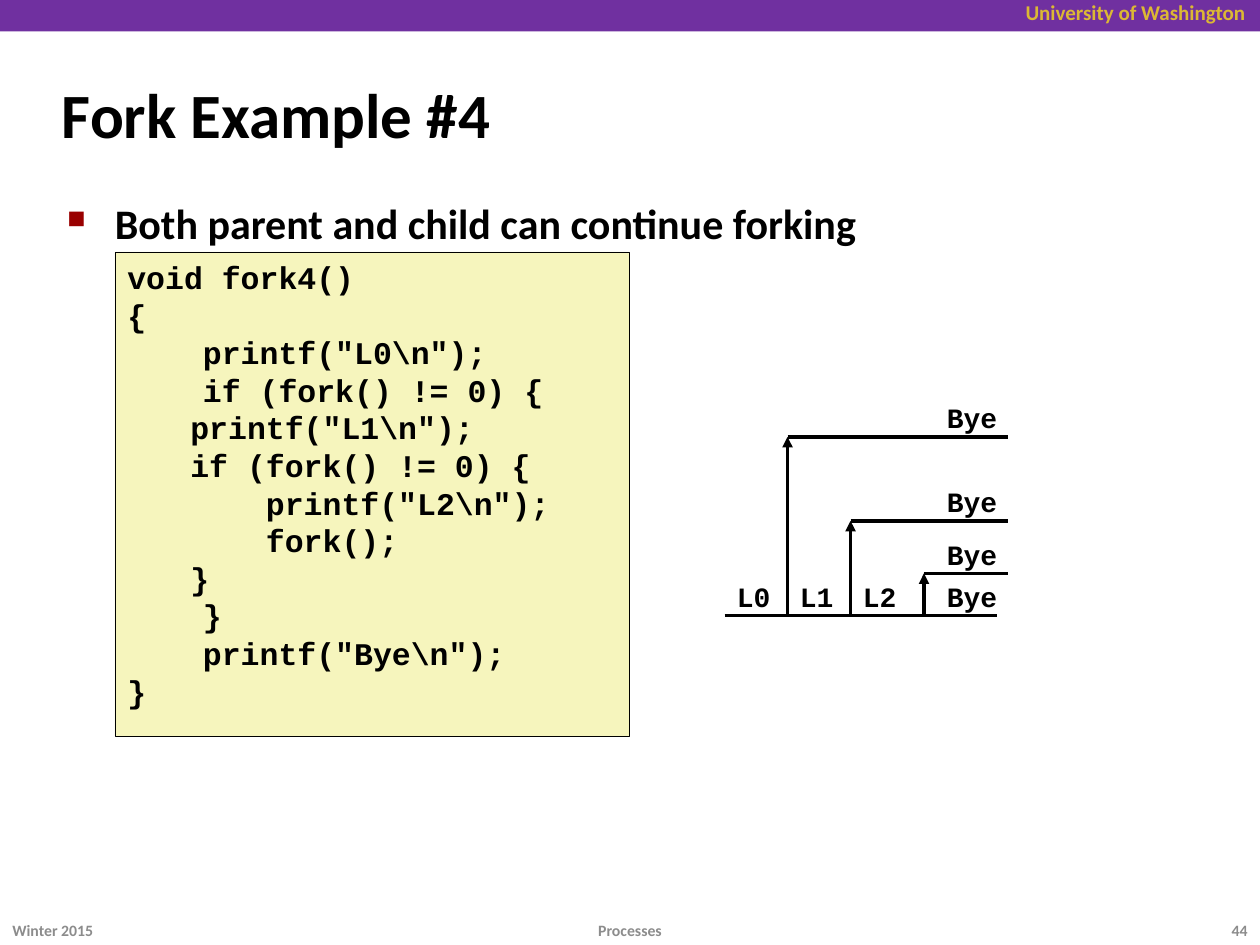
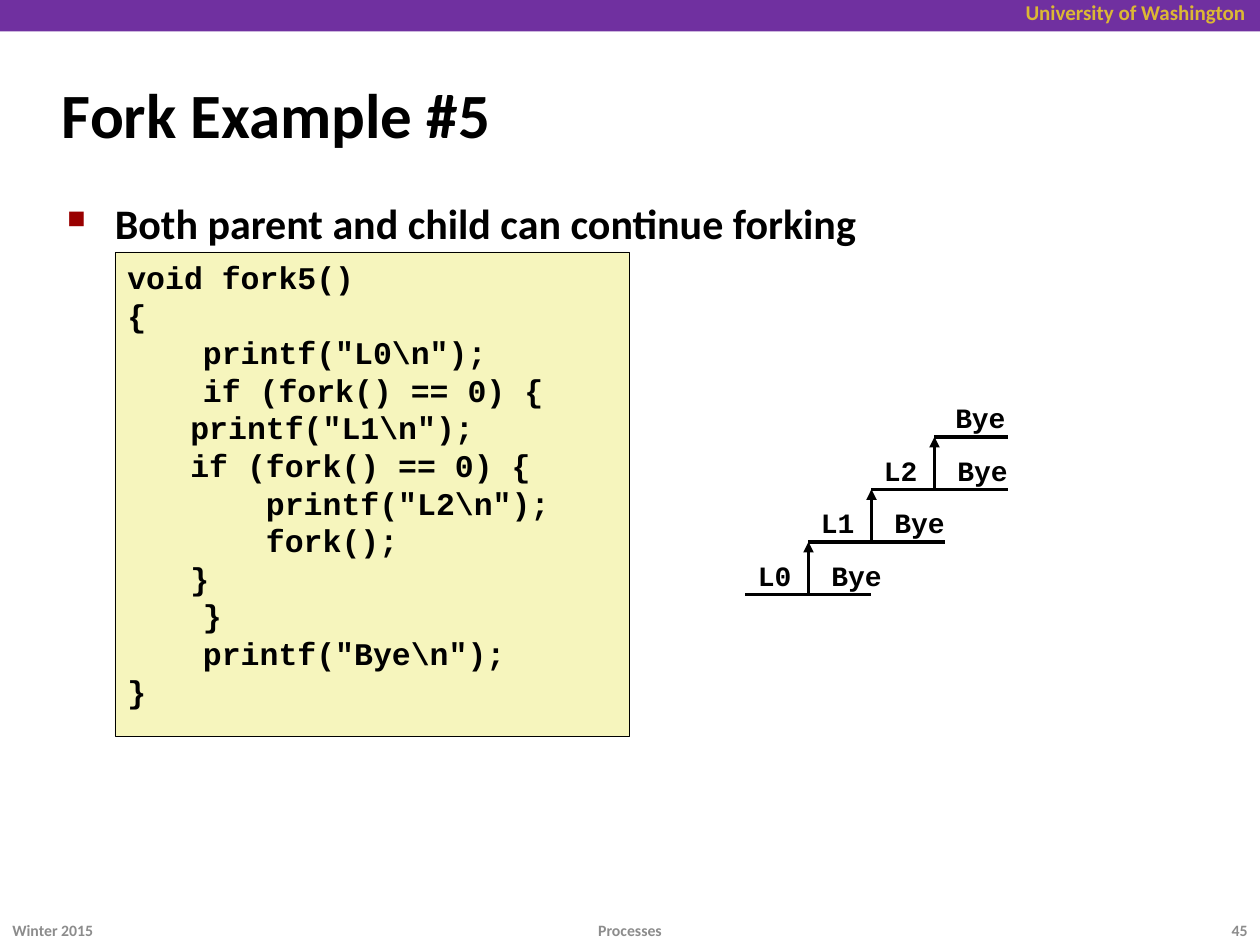
from itertools import pairwise

from lxml.etree import SubElement
from pptx import Presentation
from pptx.dml.color import RGBColor as RGB
from pptx.enum.shapes import MSO_CONNECTOR as CONN, MSO_SHAPE as SHAPE
from pptx.enum.text import MSO_ANCHOR as ANCHOR, PP_ALIGN as ALIGN
from pptx.oxml.ns import qn
from pptx.util import Inches, Pt

COLS, ROWS = 120, 90
COLORS = {"band": "7030A0", "gold": "DCB834", "ink": "000000", "gray": "8C8C8C",
          "code": "F6F5BD", "bullet": "990000"}
FORMATS = {
    "title": {"name": "Calibri", "size": Pt(36), "bold": True},
    "body": {"name": "Calibri", "size": Pt(24), "bold": True},
    "school": {"name": "Calibri", "size": Pt(12), "bold": True},
    "footer": {"name": "Calibri", "size": Pt(9), "bold": True},
    "code": {"name": "Courier New", "size": Pt(18), "bold": True},
    "label": {"name": "Courier New", "size": Pt(16), "bold": True},
}
LINE_PITCH = {"code": Pt(21.5)}

CODE = r"""void {name}()
{{
    printf("L0\n");
    if (fork() {test} 0) {{
{tab}printf("L1\n");
{tab}if (fork() {test} 0) {{
{tab}    printf("L2\n");
{tab}    fork();
{tab}}}
    }}
    printf("Bye\n");
}}"""


def color(name):
    return RGB.from_string(COLORS[name])


class Deck:
    """Holds the style and the current slide; lengths are columns and rows."""

    def __init__(self):
        self.prs = Presentation()
        self.prs.slide_width, self.prs.slide_height = Inches(10), Inches(7.5)
        self.slide = None

    def x(self, cols):
        return round(self.prs.slide_width * cols / COLS)

    def y(self, rows):
        return round(self.prs.slide_height * rows / ROWS)

    def box(self, left, top, width, height):
        return self.x(left), self.y(top), self.x(width), self.y(height)

    def set_text(self, sp, text, style, ink="ink", align=ALIGN.LEFT,
                 anchor=ANCHOR.TOP, wrap=True):
        tf = sp.text_frame
        tf.word_wrap, tf.vertical_anchor = wrap, anchor
        tf.text = text
        for p in tf.paragraphs:
            p.alignment = align
            p.line_spacing = LINE_PITCH.get(style)
            for r in p.runs:
                for key, value in FORMATS[style].items():
                    setattr(r.font, key, value)
                r.font.color.rgb = color(ink)
        return tf

    def text(self, place, text, style, **options):
        sp = self.slide.shapes.add_textbox(*self.box(*place))
        return self.set_text(sp, text, style, **options)

    def rect(self, place, fill, outline=None):
        sp = self.slide.shapes.add_shape(SHAPE.RECTANGLE, *self.box(*place))
        sp.shadow.inherit = False
        sp.fill.solid()
        sp.fill.fore_color.rgb = color(fill)
        if outline:
            sp.line.color.rgb, sp.line.width = color(outline), Pt(0.25)
        else:
            sp.line.fill.background()
        return sp

    def indent(self, p, inches):
        """Set a hanging indent and return the paragraph properties."""
        pPr = p._p.get_or_add_pPr()
        pPr.set("marL", str(Inches(inches)))
        pPr.set("indent", str(-Inches(inches)))
        return pPr

    def title(self, text):
        sp = self.slide.shapes.title
        sp.left, sp.top, sp.width, sp.height = self.box(4.7, 5.8, 110.3, 10)
        tf = self.set_text(sp, text, "title", anchor=ANCHOR.MIDDLE)
        self.indent(tf.paragraphs[0], 0.13)

    def bullet(self, text):
        tf = self.text((5.2, 18.2, 109.8, 5), text, "body")
        pPr = self.indent(tf.paragraphs[0], 0.38)
        SubElement(SubElement(pPr, qn("a:buClr")), qn("a:srgbClr"), val=COLORS["bullet"])
        SubElement(pPr, qn("a:buSzPct"), val="60000")
        SubElement(pPr, qn("a:buChar"), char="■")

    def code(self, text):
        sp = self.rect((10.95, 24, 49, 46.1), "code", outline="ink")
        self.set_text(sp, text, "code")

    def line(self, x1, y1, x2, y2, arrow=False):
        c = self.slide.shapes.add_connector(
            CONN.STRAIGHT, self.x(x1), self.y(y1), self.x(x2), self.y(y2))
        c.line.color.rgb, c.line.width = color("ink"), Pt(2)
        spPr = c._element.spPr
        if arrow:
            SubElement(spPr.find(qn("a:ln")), qn("a:tailEnd"), type="triangle")
        SubElement(spPr, qn("a:effectLst"))

    def label(self, col, row, text):
        """Put a label on top of the timeline at this row."""
        width = 7.2 if text == "Bye" else 5.6
        self.text((col, row - 4, width, 4.4), text, "label", wrap=False)

    def new_slide(self, number, title, point, code):
        self.slide = self.prs.slides.add_slide(self.prs.slide_layouts[5])
        self.rect((0, 0, COLS, 3), "band")
        self.text((88, -0.6, 31.8, 3.6), "University of Washington", "school",
                  ink="gold", align=ALIGN.RIGHT)
        self.title(title)
        self.bullet(point)
        self.code(code)
        for left, width, text, align in ((0, 36, "Winter 2015", ALIGN.LEFT),
                                         (41, 38, "Processes", ALIGN.CENTER),
                                         (112, 8, str(number), ALIGN.RIGHT)):
            self.text((left, 86.2, width, 4.8), text, "footer", ink="gray",
                      align=align, anchor=ANCHOR.MIDDLE)


def parent_forks(deck):
    """The parent runs along the base line and each child branches upward."""
    base, end, bye = 58.6, 96, 89
    stops = (69, 75, 81, 88, 95)
    for left, right in pairwise(stops):
        deck.line(left, base, right, base)
    for i, (start, fork, top) in enumerate(zip(stops, stops[1:], (41.6, 49.6, 54.6))):
        deck.label(start, base, f"L{i}")
        deck.line(fork, base, fork, top, arrow=True)
        deck.line(fork, top, end, top)
        deck.label(bye, top, "Bye")
    deck.label(bye, base, "Bye")


def child_forks(deck):
    """Each child starts one step to the right of and above its parent."""
    left, base, step, rise = 71, 56.6, 6, 5
    for i, end in enumerate((83, 90, 96)):
        start, row = left + i * step, base - i * rise
        fork = start + step
        deck.line(start, row, fork, row)
        deck.line(fork, row, end, row)
        deck.line(fork, row, fork, row - rise, arrow=True)
        deck.label(start, row, f"L{i}")
        deck.label(fork + 1, row, "Bye")
    deck.line(fork, row - rise, end, row - rise)
    deck.label(fork + 0.8, row - rise, "Bye")


def main():
    deck = Deck()
    examples = ((4, "!=", parent_forks), (5, "==", child_forks))
    for n, test, draw in examples:
        deck.new_slide(40 + n, f"Fork Example #{n}",
                       "Both parent and child can continue forking",
                       CODE.format(name=f"fork{n}", test=test, tab="\t"))
        draw(deck)
    deck.prs.save("out.pptx")


if __name__ == "__main__":
    main()
